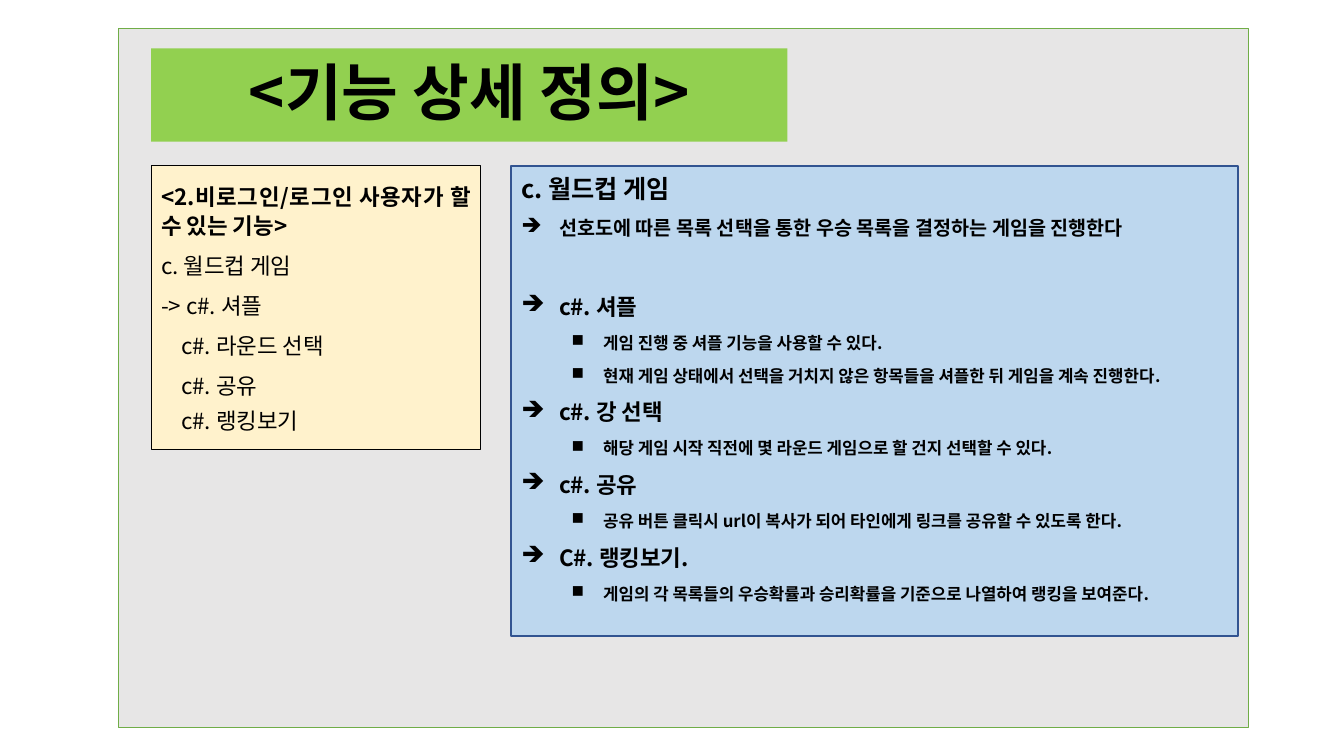
"""Build the feature definition slide for the world cup game."""
from dataclasses import dataclass

from lxml import etree
from pptx import Presentation
from pptx.dml.color import RGBColor
from pptx.enum.shapes import MSO_SHAPE
from pptx.enum.text import MSO_ANCHOR, PP_ALIGN
from pptx.oxml.ns import qn
from pptx.util import Pt

EMU_PER_PX = 9525
FONT = "Noto Sans CJK KR"
RECT = MSO_SHAPE.RECTANGLE
TOP, MIDDLE = MSO_ANCHOR.TOP, MSO_ANCHOR.MIDDLE
LEFT, CENTER, JUSTIFY = PP_ALIGN.LEFT, PP_ALIGN.CENTER, PP_ALIGN.JUSTIFY
COLORS = {
    "panel": "E7E6E6", "panel_line": "70AD47", "title": "92D050",
    "menu": "FFF2CC", "detail": "BDD7EE", "detail_line": "325491",
    "black": "000000",
}


@dataclass(frozen=True)
class Line:
    text: str
    size: int
    bold: bool = True
    align: PP_ALIGN = JUSTIFY
    spacing: float = 1.07
    after: int = 8
    level: int = 0
    margin: int = 0
    hang: int = 0
    bullet: str = ""


@dataclass(frozen=True)
class Box:
    left: int
    top: int
    width: int
    height: int
    fill: str
    line: str = ""
    line_pt: float = 0
    anchor: MSO_ANCHOR = MIDDLE
    lines: tuple[Line, ...] = ()


def px(n: int) -> int:
    return n * EMU_PER_PX


def rgb(name: str) -> RGBColor:
    return RGBColor.from_string(COLORS[name])


def menu(text: str, margin: int = 0) -> Line:
    return Line(text, 16, bold=False, margin=margin)


def arrow(text: str, size: int = 16, after: int = 8) -> Line:
    return Line(text, size, after=after, margin=36, hang=36, bullet="➔")


def square(text: str) -> Line:
    return Line(text, 12, level=1, margin=78, hang=30, bullet="■")


def write_line(p, line: Line) -> None:
    p.text = line.text
    p.alignment = line.align
    p.level = line.level
    p.line_spacing = line.spacing
    p.space_after = Pt(line.after)
    pPr = p._p.get_or_add_pPr()
    pPr.set("marL", str(px(line.margin)))
    pPr.set("indent", str(px(-line.hang)))
    if line.bullet:
        etree.SubElement(pPr, qn("a:buChar")).set("char", line.bullet)
    for r in p.runs:
        r.font.size = Pt(line.size)
        r.font.bold = line.bold
        r.font.color.rgb = rgb("black")
        r.font.name = FONT
        etree.SubElement(r._r.get_or_add_rPr(), qn("a:ea")).set("typeface", FONT)


def draw_box(s, box: Box) -> None:
    sp = s.shapes.add_shape(RECT, px(box.left), px(box.top), px(box.width), px(box.height))
    sp.shadow.inherit = False
    sp.fill.solid()
    sp.fill.fore_color.rgb = rgb(box.fill)
    if box.line:
        sp.line.color.rgb = rgb(box.line)
        sp.line.width = Pt(box.line_pt)
    else:
        sp.line.fill.background()
    tf = sp.text_frame
    tf.word_wrap = True
    tf.vertical_anchor = box.anchor
    for i, line in enumerate(box.lines):
        write_line(tf.add_paragraph() if i else tf.paragraphs[0], line)


TITLE_LINES = (Line("<기능 상세 정의>", 44, align=CENTER, spacing=0.9, after=0),)
MENU_LINES = (
    Line("<2.비로그인/로그인 사용자가 할 수 있는 기능>", 16),
    menu("c. 월드컵 게임"),
    menu("-> c#. 셔플"),
    menu("c#. 라운드 선택", 19),
    menu("c#. 공유", 19),
    Line("c#. 랭킹보기", 16, bold=False, align=LEFT, spacing=0.9, after=0, margin=19),
)
DETAIL_LINES = (
    Line("c. 월드컵 게임", 18),
    arrow("선호도에 따른 목록 선택을 통한 우승 목록을 결정하는 게임을 진행한다", 14, 37),
    arrow("c#. 셔플"),
    square("게임 진행 중 셔플 기능을 사용할 수 있다."),
    square("현재 게임 상태에서 선택을 거치지 않은 항목들을 셔플한 뒤 게임을 계속 진행한다."),
    arrow("c#. 강 선택"),
    square("해당 게임 시작 직전에 몇 라운드 게임으로 할 건지 선택할 수 있다."),
    arrow("c#. 공유"),
    square("공유 버튼 클릭시 url이 복사가 되어 타인에게 링크를 공유할 수 있도록 한다."),
    arrow("C#. 랭킹보기."),
    square("게임의 각 목록들의 우승확률과 승리확률을 기준으로 나열하여 랭킹을 보여준다."),
)
BOXES = (
    Box(113, 27, 1076, 666, "panel", "panel_line", 1),
    Box(144, 46, 606, 89, "title", lines=TITLE_LINES),
    Box(144, 158, 314, 270, "menu", "black", 0.75, lines=MENU_LINES),
    Box(487, 158, 692, 448, "detail", "detail_line", 1.5, TOP, DETAIL_LINES),
)


def main() -> None:
    prs = Presentation()
    prs.slide_width, prs.slide_height = px(1280), px(720)
    s = prs.slides.add_slide(prs.slide_layouts[6])
    for box in BOXES:
        draw_box(s, box)
    prs.save("out.pptx")


if __name__ == "__main__":
    main()
